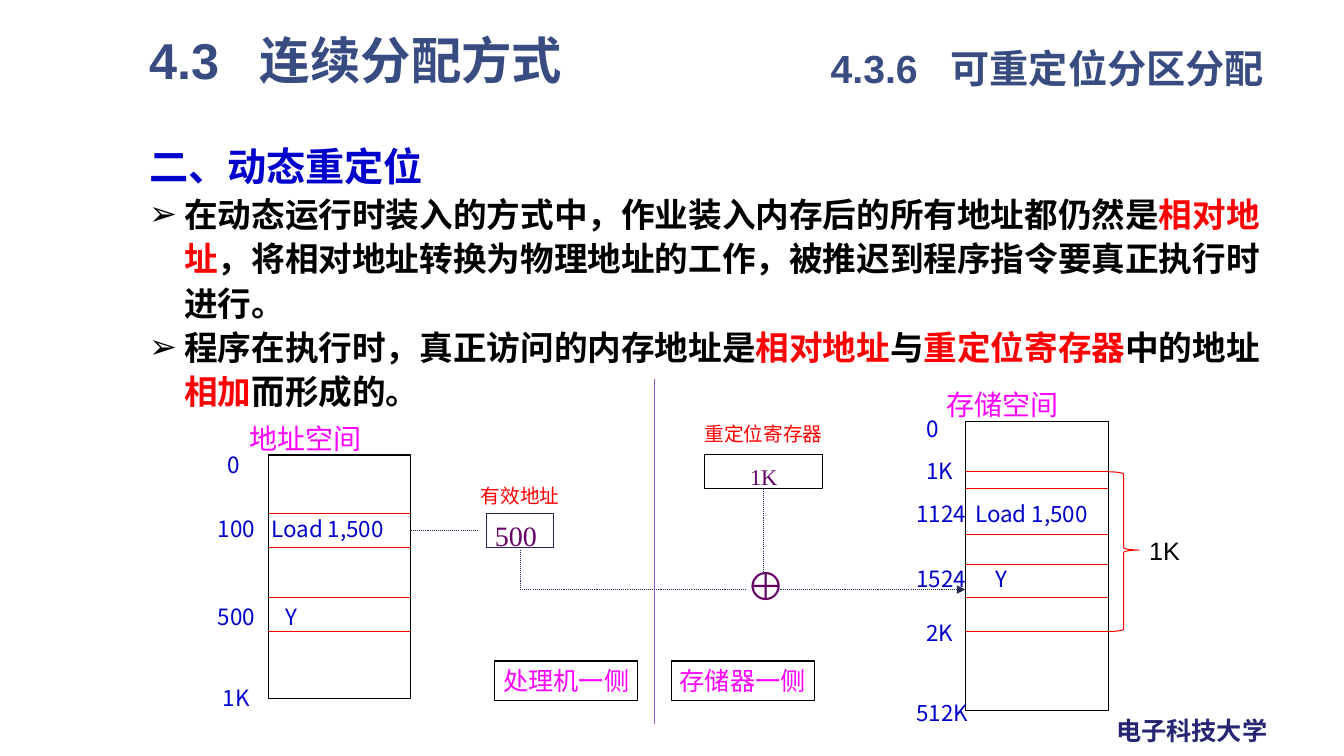
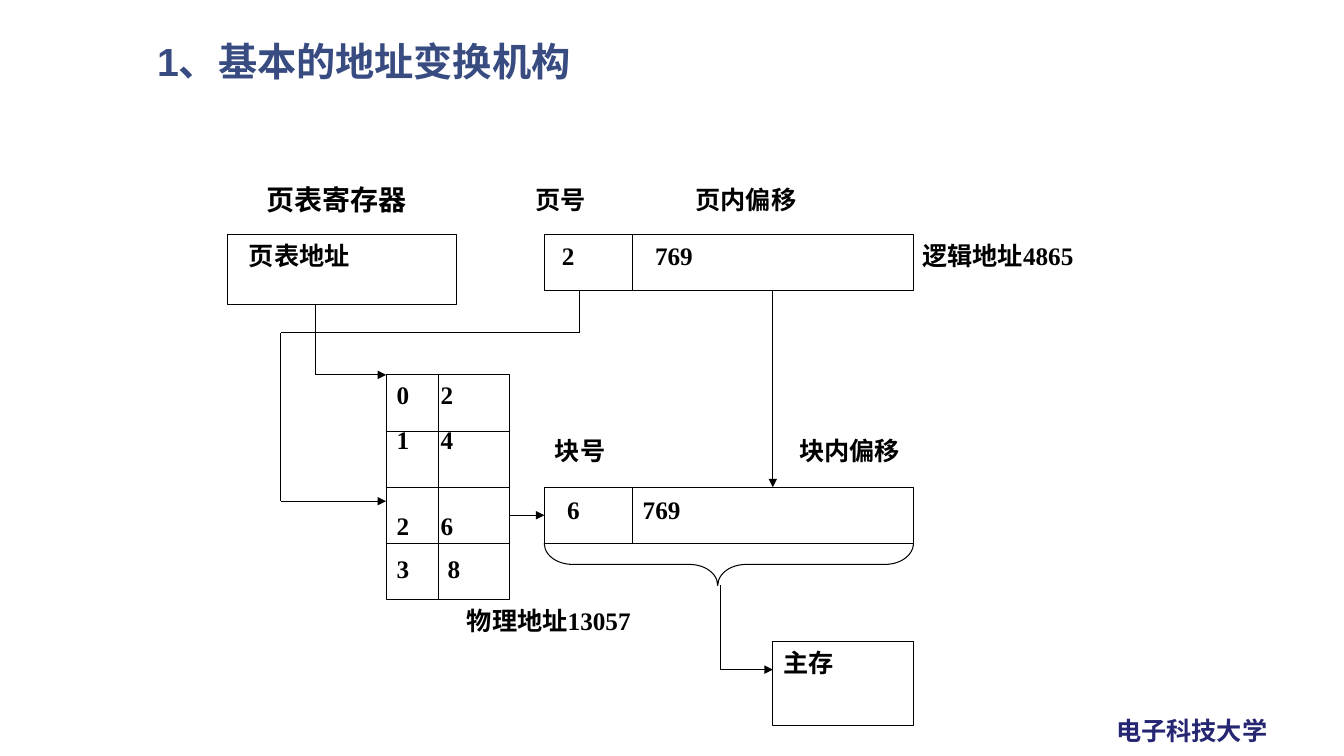
from dataclasses import dataclass
from itertools import pairwise
from typing import Any

from lxml.etree import SubElement as Sub
from pptx import Presentation
from pptx.dml.color import RGBColor as Rgb
from pptx.enum.dml import MSO_LINE as Dash
from pptx.enum.shapes import MSO_CONNECTOR as Link, MSO_SHAPE as Form
from pptx.enum.text import MSO_ANCHOR as Anchor, PP_ALIGN as Align
from pptx.oxml.ns import qn
from pptx.util import Inches, Pt

INK = {
    "title": "384C81", "foot": "262673", "blue": "0000CC", "red": "FF0000",
    "pink": "FF00FF", "plum": "660066", "black": "000000", "navy": "242852",
    "violet": "9454C3",
}
SANS, SERIF, HAN = "Arial", "Times New Roman", "Noto Sans CJK SC"


def style(run, size, ink, face, bold=False):
    """Set the look of a run, for Latin and Chinese letters."""
    font = run.font
    font.size, font.name, font.bold = Pt(size), face, bold
    font.color.rgb = Rgb.from_string(INK[ink])
    Sub(run._r.get_or_add_rPr(), qn("a:ea"), typeface=HAN)


def write(frame, text, size, ink, face, bold=False, align=Align.LEFT):
    """Put one centred-in-height line into a frame without insets."""
    frame.margin_left = frame.margin_right = 0
    frame.margin_top = frame.margin_bottom = 0
    frame.word_wrap, frame.vertical_anchor = True, Anchor.MIDDLE
    para = frame.paragraphs[0]
    para.text, para.alignment = text, align
    style(para.runs[0], size, ink, face, bold)


def heading(slide, box, text, size, tab=None):
    """Add a title line, with an optional tab stop after its number."""
    frame = slide.shapes.add_textbox(*map(Inches, box)).text_frame
    frame.word_wrap = True
    para = frame.paragraphs[0]
    para.text, para.line_spacing = text, 0.9
    if tab:
        stops = Sub(para._p.get_or_add_pPr(), qn("a:tabLst"))
        Sub(stops, qn("a:tab"), pos=str(Inches(tab)), algn="l")
    style(para.runs[0], size, "title", SANS, True)


def start(deck):
    """Add a blank slide with the shared footer."""
    slide = deck.slides.add_slide(deck.slide_layouts[6])
    foot = slide.shapes.add_textbox(*map(Inches, (11.07, 7.05, 1.72, 0.4)))
    write(foot.text_frame, "电子科技大学", 18, "foot", SANS, True)
    return slide


@dataclass
class Grid:
    """A box on a slide, cut into columns and rows."""

    slide: Any
    box: tuple
    cols: float
    rows: float

    def spot(self, col, row):
        """Turn a column and a row into a place on the slide."""
        left, top, wide, tall = self.box
        return (Inches(left + wide * col / self.cols),
                Inches(top + tall * row / self.rows))

    def shape(self, col, row, wide, tall, ink="black", form=Form.RECTANGLE, turn=0):
        """Outline a shape over some cells."""
        x, y = self.spot(col, row)
        end, low = self.spot(col + wide, row + tall)
        w, h = end - x, low - y
        if turn:
            x, y, w, h = x + (w - h) // 2, y + (h - w) // 2, h, w
        item = self.slide.shapes.add_shape(form, x, y, w, h)
        item.rotation, item.shadow.inherit = turn, False
        item.fill.background()
        item.line.color.rgb, item.line.width = Rgb.from_string(INK[ink]), Pt(0.75)
        return item

    def route(self, *spots, ink="black", dots=False, arrow=False):
        """Join spots by straight lines, the last with an arrowhead if asked."""
        for a, b in pairwise(spots):
            line = self.slide.shapes.add_connector(
                Link.STRAIGHT, *self.spot(*a), *self.spot(*b))
            line.line.color.rgb = Rgb.from_string(INK[ink])
            line.line.width = Pt(0.75)
            if dots:
                line.line.dash_style = Dash.ROUND_DOT
            if arrow and b == spots[-1]:
                Sub(line.line._get_or_add_ln(), qn("a:tailEnd"), type="triangle")
            Sub(line._element.spPr, qn("a:effectLst"))

    def label(self, col, row, text, size, ink, face, bold=False, mid=False):
        """Write one line that starts, or has its middle, at a spot."""
        x, y = self.spot(col, row)
        w, h = Inches(2), Inches(0.4)
        box = self.slide.shapes.add_textbox(x - w // 2 if mid else x, y - h // 2, w, h)
        align = Align.CENTER if mid else Align.LEFT
        write(box.text_frame, text, size, ink, face, bold, align)


def body(slide, box, head, points):
    """Add a heading and bullet points made of coloured parts."""
    frame = slide.shapes.add_textbox(*map(Inches, box)).text_frame
    frame.word_wrap = True
    para = frame.paragraphs[0]
    para.text, para.line_spacing = head, 1.1
    style(para.runs[0], 28, "blue", HAN, True)
    for parts in points:
        para = frame.add_paragraph()
        para.line_spacing = 1.1
        props = para._p.get_or_add_pPr()
        props.set("marL", str(Inches(0.35)))
        props.set("indent", str(-Inches(0.35)))
        Sub(props, qn("a:buFont"), typeface=SANS)
        Sub(props, qn("a:buChar"), char="➢")
        for i, part in enumerate(parts):
            run = para.add_run()
            run.text = part
            style(run, 24, "red" if i % 2 else "black", HAN, True)


def memory(grid, col, row, tall, name, cuts, tags):
    """Draw a column of memory with red cuts and blue tags."""
    grid.shape(col, row, 17, tall)
    for cut in cuts:
        grid.route((col, row + cut), (col + 17, row + cut), ink="red")
    grid.label(col - 2.2, row - 2, name, 20, "pink", HAN)
    for x, y, text in tags:
        grid.label(col + x, row + y, text, 16, "blue", HAN)


def relocate(slide, box):
    """Draw the address space, the register and the storage space."""
    grid = Grid(slide, box, 100, 34.4)
    memory(grid, 0, 4, 29, "地址空间", (7, 11, 17, 21), (
        (-4.8, 1.2, "0"), (-6, 8.8, "100"), (0.4, 8.8, "Load 1,500"),
        (-6, 19.2, "500"), (2.1, 19.2, "Y"), (-5.4, 28.8, "1K")))
    memory(grid, 83, 0, 34.4, "存储空间", (6, 8, 13.5, 17, 21, 25), (
        (-4.6, 0.8, "0"), (-4.6, 5.9, "1K"), (-5.8, 11, "1124"),
        (1.2, 11, "Load 1,500"), (-5.8, 18.7, "1524"), (3.6, 18.7, "Y"),
        (-4.6, 25.1, "2K"), (-5.8, 34.6, "512K")))
    grid.shape(26, 11, 8, 4, "navy")
    grid.shape(52, 4, 14, 4)
    for spots in (((17, 13), (25, 13)), ((30, 15), (30, 20), (57, 20)),
                  ((59, 8), (59, 18))):
        grid.route(*spots, ink="navy", dots=True)
    grid.route((61, 20), (83, 20), ink="navy", dots=True, arrow=True)
    grid.route((46, -5), (46, 36), ink="violet")
    for col, side in ((27, "处理机一侧"), (48, "存储器一侧")):
        frame = grid.shape(col, 28.5, 17, 4.7).text_frame
        write(frame, side, 18, "pink", SERIF, align=Align.CENTER)
    for col, row, text, size, ink in (
            (30, 8.8, "有效地址", 14, "red"), (29.5, 13.5, "500", 20, "plum"),
            (59, 1.5, "重定位寄存器", 14, "red"), (59, 6.6, "1K", 16, "plum"),
            (59.3, 19.5, "⊕", 28, "plum")):
        grid.label(col, row, text, size, ink, SERIF, mid=True)
    brace = grid.shape(100, 6, 3.7, 19, "red", Form.RIGHT_BRACE)
    brace.adjustments[0], brace.adjustments[1] = 0.08, 0.49
    grid.label(104.9, 15.4, "1K", 18, "black", SANS)


def paging(slide, box):
    """Draw how a page table turns a logical address into a physical one."""
    grid = Grid(slide, box, 39, 39)
    for cells in ((0, 4, 13, 5), (9, 14, 7, 16), (18, 4, 21, 4),
                  (18, 22, 21, 4), (31, 33, 8, 6)):
        grid.shape(*cells)
    for row in (18, 22, 26):
        grid.route((9, row), (16, row))
    for col, top, low in ((12, 14, 30), (23, 4, 8), (23, 22, 26)):
        grid.route((col, top), (col, low))
    for spots in (((16, 24), (18, 24)), ((31, 8), (31, 22)),
                  ((5, 9), (5, 14), (9, 14)),
                  ((20, 8), (20, 11), (3, 11), (3, 23), (9, 23)),
                  ((28, 29), (28, 35), (31, 35))):
        grid.route(*spots, arrow=True)
    brace = grid.shape(18, 26, 21, 3, form=Form.LEFT_BRACE, turn=270)
    brace.adjustments[0], brace.adjustments[1] = 0.67, 0.47
    grid.label(2.2, 1.5, "页表寄存器", 20, "black", SERIF, True)
    for col, row, text in (
            (17.5, 1.5, "页号"), (26.6, 1.5, "页内偏移"), (1.2, 5.5, "页表地址"),
            (19, 5.5, "2"), (24.3, 5.5, "769"), (39.5, 5.5, "逻辑地址4865"),
            (9.6, 15.4, "0"), (12.1, 15.4, "2"), (9.6, 18.6, "1"), (12.1, 18.6, "4"),
            (9.6, 24.7, "2"), (12.1, 24.7, "6"), (9.6, 27.8, "3"), (12.5, 27.8, "8"),
            (18.6, 19.4, "块号"), (32.5, 19.4, "块内偏移"), (19.3, 23.6, "6"),
            (23.6, 23.6, "769"), (13.6, 31.5, "物理地址13057"), (31.6, 34.5, "主存")):
        grid.label(col, row, text, 18, "black", SERIF, True)


def main():
    """Build and save both slides."""
    deck = Presentation()
    deck.slide_width, deck.slide_height = Inches(13.33), Inches(7.5)
    slide = start(deck)
    heading(slide, (1.38, 0.31, 5.04, 0.6), "4.3\t连续分配方式", 36, 1.1)
    heading(slide, (8.14, 0.44, 4.6, 0.67), "4.3.6\t可重定位分区分配", 28, 1.19)
    body(slide, (1.38, 1.32, 11.44, 3.36), "二、动态重定位", (
        ("在动态运行时装入的方式中，作业装入内存后的所有地址都仍然是", "相对地址",
         "，将相对地址转换为物理地址的工作，被推迟到程序指令要真正执行时进行。"),
        ("程序在执行时，真正访问的内存地址是", "相对地址", "与", "重定位寄存器",
         "中的地址", "相加", "而形成的。")))
    relocate(slide, (2.66, 4.18, 8.33, 2.87))
    slide = start(deck)
    heading(slide, (1.46, 0.37, 8.14, 0.61), "1、基本的地址变换机构", 28)
    paging(slide, (2.26, 1.77, 6.8, 5.43))
    deck.save("out.pptx")


if __name__ == "__main__":
    main()
